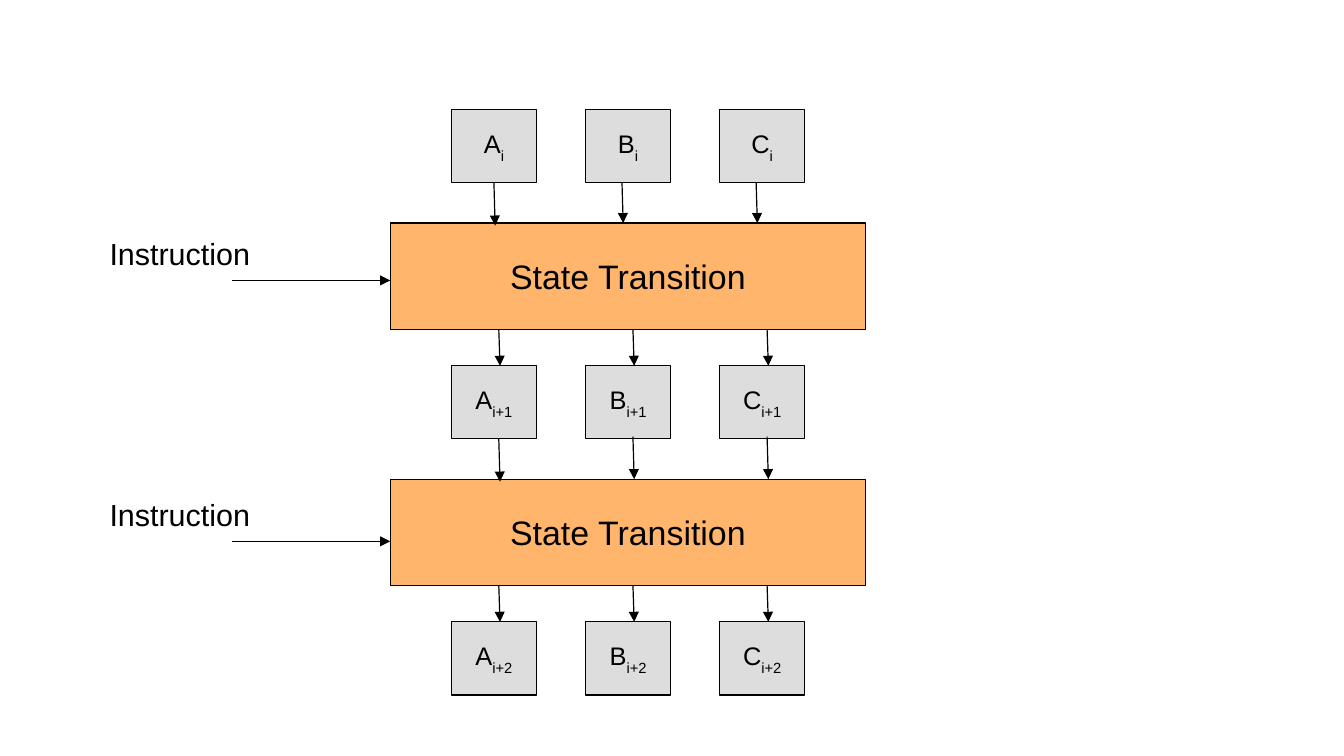
from lxml import etree
from pptx import Presentation
from pptx.dml.color import RGBColor
from pptx.enum.shapes import MSO_CONNECTOR, MSO_SHAPE
from pptx.enum.text import MSO_ANCHOR, PP_ALIGN
from pptx.oxml.ns import qn
from pptx.util import Pt

PX = 9144  # 100 px to the inch
BLACK = RGBColor(0, 0, 0)
GREY = RGBColor(0xDD, 0xDD, 0xDD)
ORANGE = RGBColor(0xFF, 0xB6, 0x6C)
RECT = MSO_SHAPE.RECTANGLE
STRAIGHT = MSO_CONNECTOR.STRAIGHT
MIDDLE = MSO_ANCHOR.MIDDLE
CENTER = PP_ALIGN.CENTER
LINE = Pt(0.71)

CELL_W, CELL_H, CELL_GAP = 70, 60, 110
STEP = 210
BAR_Y, BAR_W, BAR_H = 93, 390, 87
# Arrows into each bar: x from the cell, start and end from the row top
FLOWS = (
    ((35, 60, 95), (30, 60, 93), (30, 60, 93)),
    ((39, 60, 95), (39, 58, 93), (39, 58, 93)),
)
OUT_X = 39
DROPS = (3, 7)  # label top below the bar top


def px(*sizes):
    return [size * PX for size in sizes]


def write(shape, text, size, sub=""):
    """Set the text, followed by an optional subscript."""
    frame = shape.text_frame
    frame.word_wrap = True
    frame.vertical_anchor = MIDDLE
    para = frame.paragraphs[0]
    para.text = text
    if sub:
        run = para.add_run()
        run.text = sub
        run._r.get_or_add_rPr().set("baseline", "-33000")
    for run in para.runs:
        run.font.name = "Arial"
        run.font.size = Pt(size)
        run.font.color.rgb = BLACK
    return para


def block(slide, box, color, text, size, sub=""):
    shape = slide.shapes.add_shape(RECT, *px(*box))
    shape.shadow.inherit = False
    shape.fill.solid()
    shape.fill.fore_color.rgb = color
    shape.line.color.rgb = BLACK
    shape.line.width = LINE
    write(shape, text, size, sub).alignment = CENTER


def arrow(slide, x1, y1, x2, y2):
    link = slide.shapes.add_connector(STRAIGHT, *px(x1, y1, x2, y2))
    link.line.color.rgb = BLACK
    link.line.width = LINE
    etree.SubElement(link.line._get_or_add_ln(), qn("a:tailEnd"), type="triangle")
    etree.SubElement(link._element.spPr, qn("a:effectLst"))


def state(slide, left, top, sub):
    """Draw one row of the cells A, B and C."""
    for col, name in enumerate("ABC"):
        box = (left + col * CELL_GAP, top, CELL_W, CELL_H)
        block(slide, box, GREY, name, 15, sub)


def change(slide, left, top, flows, drop):
    """Draw a transition bar with its arrows and its instruction."""
    bar_x, bar_y = left - 50, top + BAR_Y
    block(slide, (bar_x, bar_y, BAR_W, BAR_H), ORANGE, "State Transition", 20)
    for col, (shift, start, end) in enumerate(flows):
        cell_x = left + col * CELL_GAP
        x = cell_x + shift
        arrow(slide, x, top + start, x + 1, top + end)
        x = cell_x + OUT_X
        arrow(slide, x, bar_y + BAR_H, x + 1, top + STEP)
    text_y = bar_y + drop
    label = slide.shapes.add_textbox(*px(bar_x - 240, text_y, 150, 44))
    write(label, "Instruction", 18)
    arrow(slide, bar_x - 130, text_y + 44, bar_x, text_y + 44)


def diagram(slide, left, top):
    for row, sub in enumerate(("i", "i+1", "i+2")):
        state(slide, left, top + row * STEP, sub)
    for row, (flows, drop) in enumerate(zip(FLOWS, DROPS)):
        change(slide, left, top + row * STEP, flows, drop)


def main():
    deck = Presentation()
    deck.slide_width, deck.slide_height = px(1102, 620)
    slide = deck.slides.add_slide(deck.slide_layouts[6])
    diagram(slide, 370, 90)
    deck.save("out.pptx")


if __name__ == "__main__":
    main()
